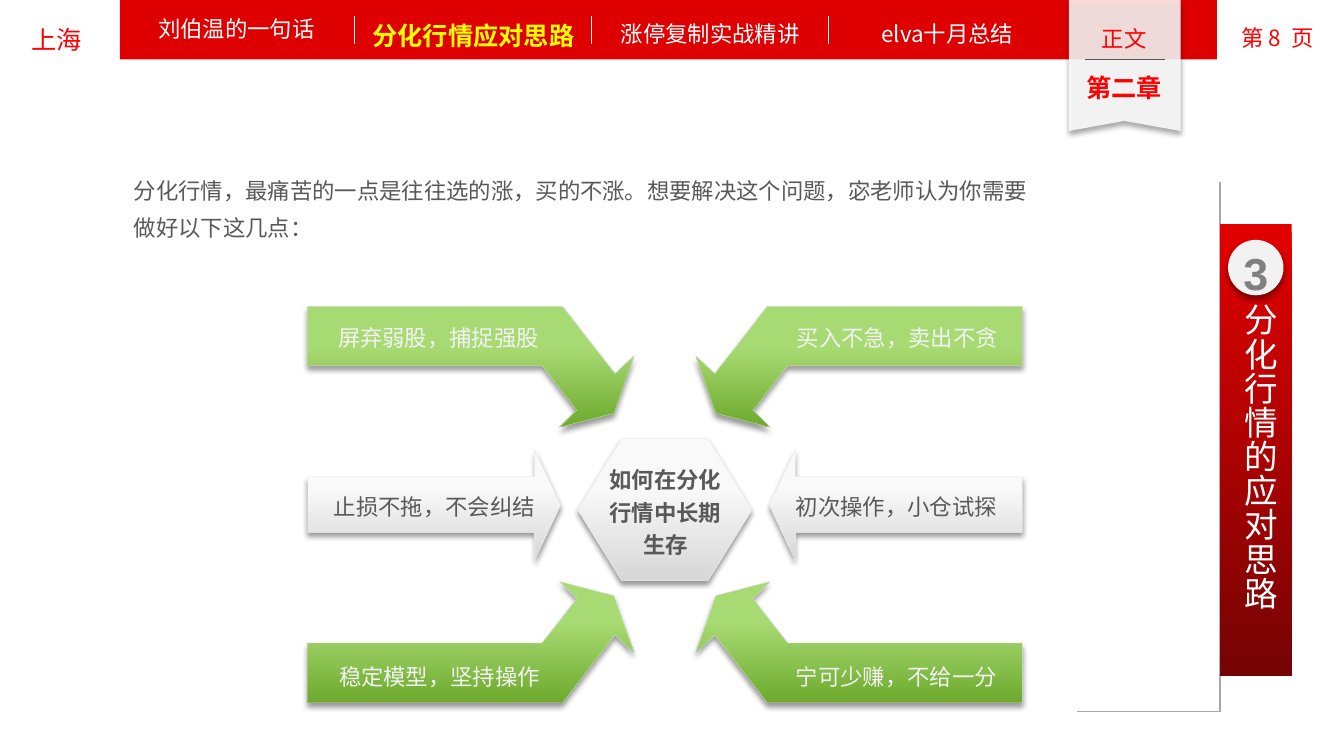
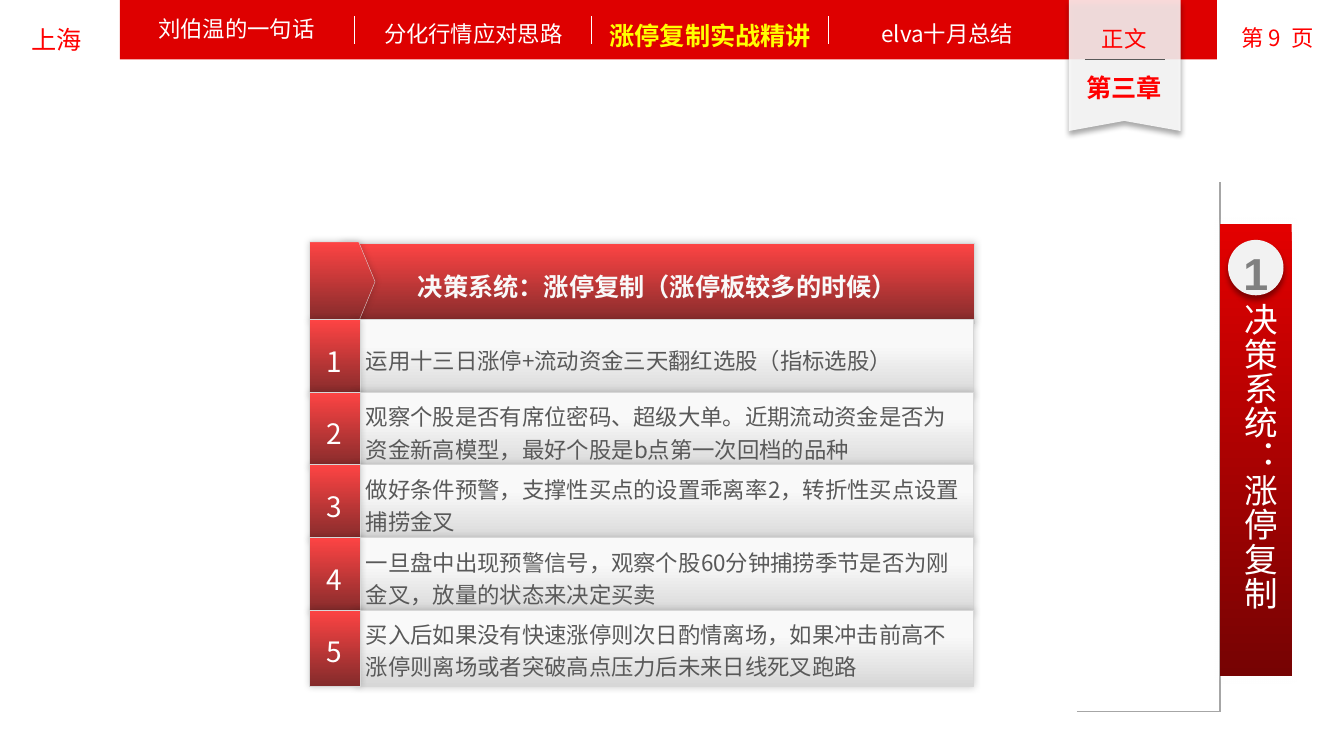
from lxml import etree
from pptx import Presentation
from pptx.dml.color import RGBColor
from pptx.enum.shapes import MSO_CONNECTOR, MSO_SHAPE
from pptx.enum.text import MSO_ANCHOR, MSO_AUTO_SIZE, PP_ALIGN
from pptx.oxml.ns import qn
from pptx.util import Inches, Pt

RECTANGLE = MSO_SHAPE.RECTANGLE
HEXAGON = MSO_SHAPE.HEXAGON
PENTAGON = MSO_SHAPE.PENTAGON
OVAL = MSO_SHAPE.OVAL
STRAIGHT = MSO_CONNECTOR.STRAIGHT
LEFT = PP_ALIGN.LEFT
CENTER = PP_ALIGN.CENTER
TOP = MSO_ANCHOR.TOP
MIDDLE = MSO_ANCHOR.MIDDLE
NO_AUTOFIT = MSO_AUTO_SIZE.NONE

COLORS = {
    "white": "FFFFFF", "black": "000000", "band": "DE0000", "red": "FF0000",
    "yellow": "FFFF00", "text": "595959", "digit": "808080", "light": "F2F2F2",
    "pale": "F9F9F9", "silver": "D7D7D7", "outline": "EAEAEA", "rule": "A6A6A6",
    "lime": "A8DA73", "green": "6DAA2D", "coral": "FE4444", "maroon": "832B2B",
    "scarlet": "E30000", "wine": "760303",
}
GRADIENTS = {
    "gray": ("pale", "silver", 0.33),
    "green": ("lime", "green", 0.33),
    "red": ("coral", "maroon", 0),
    "side": ("scarlet", "wine", 0),
}
SHADOWS = {
    "drop": ("black", 40, 4, 3, 90),
    "glow": ("black", 20, 5, 0, 0),
    "halo": ("white", 40, 5, 0, 0),
}
CJK_FONT = "Noto Sans CJK SC"
CHAPTERS = ["刘伯温的一句话", "分化行情应对思路", "涨停复制实战精讲", "elva十月总结"]
COLUMN = 2.35
ARROW_MIRROR_X = 13.19
ARROW_MIRROR_Y = 10.01
CORNER_ARROW = [(3.05, 3.04), (5.58, 3.04), (6.1, 3.71), (6.29, 3.53), (6.09, 4.1),
                (5.55, 4.24), (5.72, 4.07), (5.38, 3.63), (3.05, 3.63)]
SIDE_ARROW = [(3.05, 4.73), (5.3, 4.73), (5.3, 4.46), (5.56, 5.01),
              (5.3, 5.56), (5.3, 5.28), (3.05, 5.28)]
ARROW_LABELS = [
    (3.08, 3.17, "屏弃弱股，捕捉强股", "light"),
    (3.04, 4.84, "止损不拖，不会纠结", "text"),
    (3.09, 6.53, "稳定模型，坚持操作", "light"),
    (7.63, 3.17, "买入不急，卖出不贪", "light"),
    (7.62, 4.84, "初次操作，小仓试探", "text"),
    (7.62, 6.53, "宁可少赚，不给一分", "light"),
]
STEPS = [
    "运用十三日涨停+流动资金三天翻红选股（指标选股）",
    "观察个股是否有席位密码、超级大单。近期流动资金是否为资金新高模型，最好个股是b点第一次回档的品种",
    "做好条件预警，支撑性买点的设置乖离率2，转折性买点设置捕捞金叉",
    "一旦盘中出现预警信号，观察个股60分钟捕捞季节是否为刚金叉，放量的状态来决定买卖",
    "买入后如果没有快速涨停则次日酌情离场，如果冲击前高不涨停则离场或者突破高点压力后未来日线死叉跑路",
]


def rgb(name):
    return RGBColor.from_string(COLORS[name])


class Deck:
    def __init__(self):
        self.presentation = Presentation()
        self.presentation.slide_width = Inches(13.33)
        self.presentation.slide_height = Inches(7.5)
        self.slide = None

    def set_text(self, shape, text, size=16, color="text", bold=False, align=CENTER,
                 anchor=TOP, spacing=None, font=CJK_FONT, tracking=None):
        frame = shape.text_frame
        frame.text = text
        frame.word_wrap = True
        frame.auto_size = NO_AUTOFIT
        frame.vertical_anchor = anchor
        paragraph = frame.paragraphs[0]
        paragraph.alignment = align
        if spacing:
            paragraph.line_spacing = spacing
        run = paragraph.runs[0]
        run.font.name = font
        run.font.size = Pt(size)
        run.font.bold = bold
        run.font.color.rgb = rgb(color)
        properties = run.font._element
        east_asian = etree.SubElement(properties, qn("a:ea"))
        east_asian.set("typeface", CJK_FONT)
        if tracking:
            properties.set("spc", str(tracking))

    def text(self, left, top, width, height, text, **style):
        box = self.slide.shapes.add_textbox(
            Inches(left), Inches(top), Inches(width), Inches(height))
        self.set_text(box, text, **style)

    def paint(self, shape, fill, outline=None, shadow=None, opacity=None):
        if fill in GRADIENTS:
            first, last, start = GRADIENTS[fill]
            shape.fill.gradient()
            shape.fill.gradient_angle = 270
            for stop, color, position in zip(
                    shape.fill.gradient_stops, (first, last), (start, 1)):
                stop.color.rgb = rgb(color)
                stop.position = position
        else:
            shape.fill.solid()
            shape.fill.fore_color.rgb = rgb(fill)
        if opacity:
            color = shape._element.spPr.find(qn("a:solidFill"))[0]
            etree.SubElement(color, qn("a:alpha")).set("val", str(opacity * 1000))
        if outline:
            shape.line.color.rgb = rgb(outline)
            shape.line.width = Pt(0.25)
        else:
            shape.line.fill.background()
        shape.shadow.inherit = False
        if shadow:
            self.cast_shadow(shape, *SHADOWS[shadow])

    def cast_shadow(self, shape, color, alpha, blur, distance, direction):
        effects = shape._element.spPr.find(qn("a:effectLst"))
        outer = etree.SubElement(
            effects, qn("a:outerShdw"), blurRad=str(Pt(blur)), dist=str(Pt(distance)),
            dir=str(direction * 60000), algn="ctr", rotWithShape="0")
        tint = etree.SubElement(outer, qn("a:srgbClr"), val=COLORS[color])
        etree.SubElement(tint, qn("a:alpha"), val=str(alpha * 1000))

    def shape(self, kind, left, top, width, height, fill, **paint):
        shape = self.slide.shapes.add_shape(
            kind, Inches(left), Inches(top), Inches(width), Inches(height))
        self.paint(shape, fill, **paint)
        return shape

    def outline(self, points, fill, **paint):
        corners = [(Inches(x), Inches(y)) for x, y in points]
        builder = self.slide.shapes.build_freeform(*corners[0], scale=1.0)
        builder.add_line_segments(corners[1:], close=True)
        self.paint(builder.convert_to_shape(), fill, **paint)

    def line(self, x1, y1, x2, y2, color):
        connector = self.slide.shapes.add_connector(
            STRAIGHT, Inches(x1), Inches(y1), Inches(x2), Inches(y2))
        connector.line.color.rgb = rgb(color)
        connector.line.width = Pt(0.75)
        etree.SubElement(connector._element.spPr, qn("a:effectLst"))

    def start_slide(self, page, active, chapter, number, title):
        self.slide = self.presentation.slides.add_slide(
            self.presentation.slide_layouts[5])
        self.header(page, active, chapter)
        self.side_title(number, title)

    def header(self, page, active, chapter):
        self.shape(RECTANGLE, 1.19, 0, 10.88, 0.59, "band")
        self.text(0.21, 0.19, 0.98, 0.4, "上海", size=18, color="red",
                  align=LEFT, font="Arial")
        self.text(12.07, 0.19, 1.2, 0.4, f"第 {page}  页", color="red")
        for index, label in enumerate(CHAPTERS):
            left = 1.17 + COLUMN * index
            current = index == active
            if index:
                self.line(left, 0.16, left, 0.44, "white")
            self.text(left, 0.15 if index else 0.1, COLUMN, 0.4, label,
                      size=18 if current else 16, bold=current,
                      color="yellow" if current else "white")
        self.outline([(10.6, 0), (11.71, 0), (11.71, 1.3), (11.15, 1.2), (10.6, 1.3)],
                     "white", shadow="drop", opacity=85)
        self.text(10.6, 0.2, 1.1, 0.37, "正文", color="red")
        self.line(10.76, 0.59, 11.55, 0.59, "text")
        self.text(10.6, 0.67, 1.1, 0.4, chapter, size=18, color="red", bold=True)

    def side_title(self, number, title):
        self.line(12.1, 1.81, 12.1, 7.06, "rule")
        self.line(10.68, 7.06, 12.1, 7.06, "rule")
        self.shape(RECTANGLE, 12.1, 2.22, 0.71, 4.49, "side", shadow="halo")
        badge = self.shape(OVAL, 12.18, 2.38, 0.55, 0.55, "light", shadow="drop")
        self.clear_margins(badge)
        self.set_text(badge, str(number), size=32, color="digit", bold=True,
                      anchor=MIDDLE, spacing=1.2, font="Arial")
        placeholder = self.slide.shapes.title
        placeholder.left, placeholder.top = Inches(12.2), Inches(3.01)
        placeholder.width, placeholder.height = Inches(0.6), Inches(3.24)
        self.set_text(placeholder, title, size=24, color="white", anchor=MIDDLE,
                      tracking=40)
        self.clear_margins(placeholder)
        placeholder.text_frame._txBody.bodyPr.set("vert", "eaVert")
        self.slide.shapes._spTree.append(placeholder._element)

    def clear_margins(self, shape):
        frame = shape.text_frame
        frame.margin_left = frame.margin_right = 0
        frame.margin_top = frame.margin_bottom = 0


def build_survival_slide(deck):
    deck.start_slide(8, 1, "第二章", 3, "分化行情的应对思路")
    deck.text(1.23, 1.62, 9.21, 0.83,
              "分化行情，最痛苦的一点是往往选的涨，买的不涨。"
              "想要解决这个问题，宓老师认为你需要做好以下这几点：",
              align=LEFT, spacing=1.35)
    hexagon = deck.shape(HEXAGON, 5.73, 4.35, 1.73, 1.41, "gray",
                         outline="outline", shadow="drop")
    hexagon.adjustments[0] = 0.31
    for mirrored in (False, True):
        def place(points):
            return [(ARROW_MIRROR_X - x if mirrored else x, y) for x, y in points]

        flipped = [(x, ARROW_MIRROR_Y - y) for x, y in CORNER_ARROW]
        deck.outline(place(SIDE_ARROW), "gray", outline="outline", shadow="drop")
        for corner in (CORNER_ARROW, flipped):
            deck.outline(place(corner), "green", outline="silver", shadow="drop")
    for left, top, label, color in ARROW_LABELS:
        deck.text(left, top, 2.54, 0.37, label, color=color)
    deck.text(5.93, 4.52, 1.34, 1.07, "如何在分化行情中长期生存",
              bold=True, anchor=MIDDLE, spacing=1.2)


def build_decision_slide(deck):
    deck.start_slide(9, 2, "第三章", 1, "决策系统：涨停复制")
    frame = {"outline": "silver", "shadow": "glow"}
    heading = deck.shape(RECTANGLE, 3.38, 2.41, 6.28, 0.8, "red", **frame)
    deck.set_text(heading, "决策系统：涨停复制（涨停板较多的时候）", size=18,
                  color="pale", bold=True, anchor=MIDDLE, spacing=1.2)
    tab = deck.shape(PENTAGON, 3.07, 2.4, 0.65, 0.79, "red", **frame)
    tab.adjustments[0] = 0.25
    for index, step in enumerate(STEPS):
        top = 3.17 + 0.72 * index
        row = deck.shape(RECTANGLE, 3.53, top, 6.12, 0.76, "gray", **frame)
        deck.set_text(row, step, align=LEFT, anchor=MIDDLE, spacing=1.2)
        number = deck.shape(RECTANGLE, 3.07, top, 0.5, 0.76, "red", **frame)
        deck.set_text(number, str(index + 1), size=20, color="white",
                      anchor=MIDDLE, spacing=1.2)


def main():
    deck = Deck()
    build_survival_slide(deck)
    build_decision_slide(deck)
    deck.presentation.save("out.pptx")


if __name__ == "__main__":
    main()
